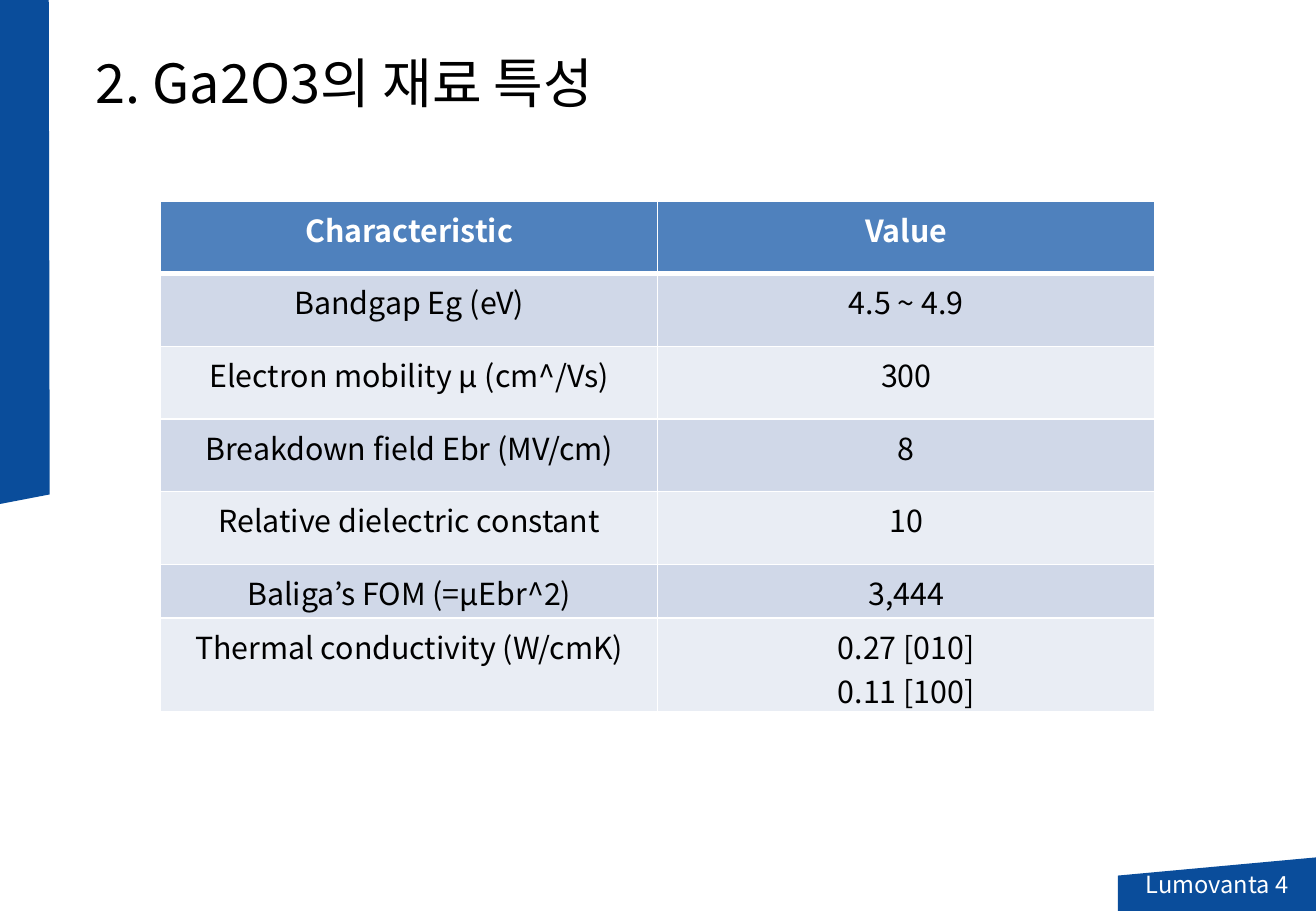
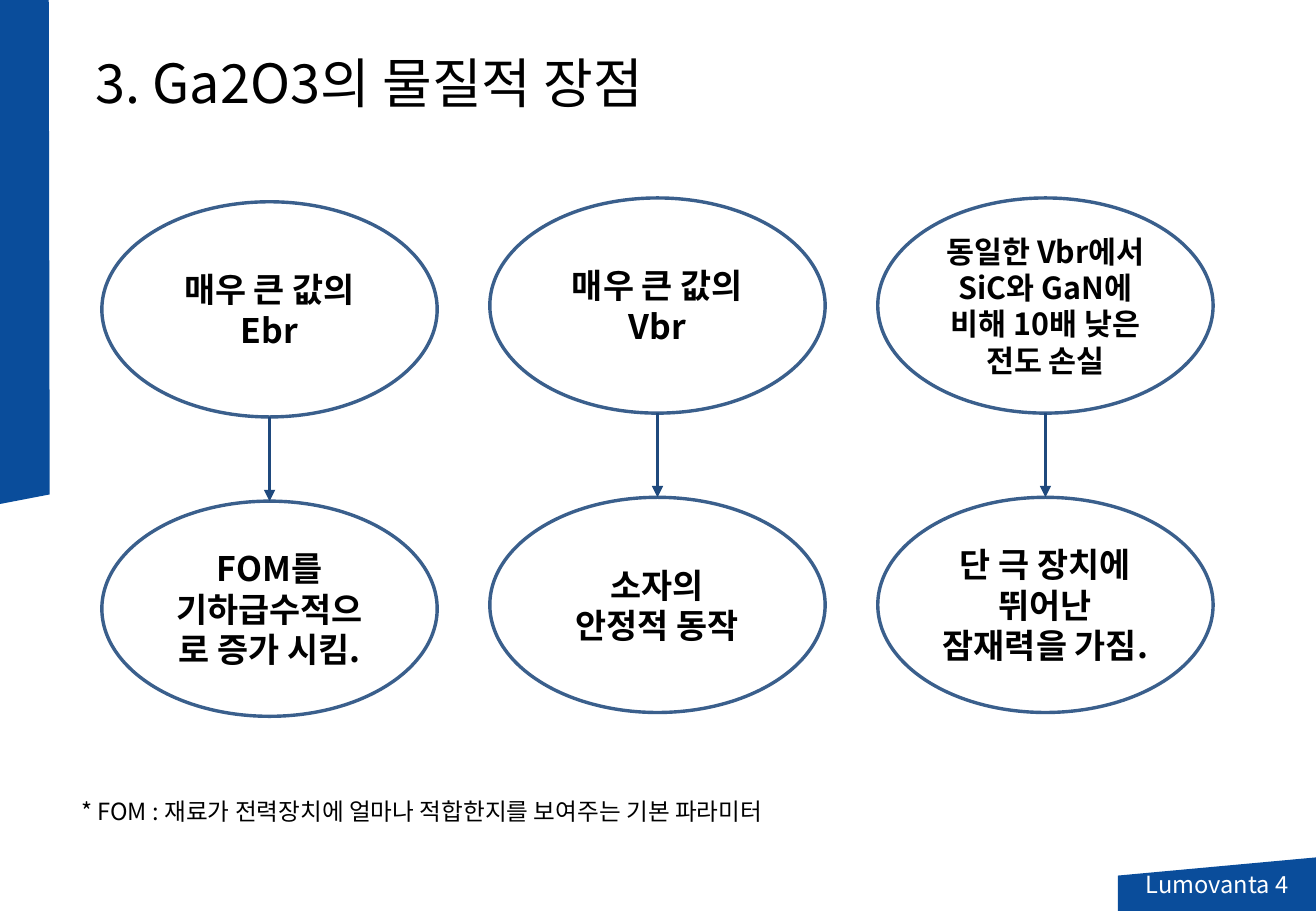
"""Build two slides on the material properties and benefits of Ga2O3."""
from lxml.etree import SubElement as Sub
from pptx import Presentation
from pptx.dml.color import RGBColor
from pptx.enum.shapes import MSO_CONNECTOR as Link, MSO_SHAPE as Shape
from pptx.enum.text import MSO_ANCHOR as Anchor, MSO_AUTO_SIZE as Fit, PP_ALIGN as Align
from pptx.oxml.ns import qn
from pptx.util import Cm, Pt

FACE = "Noto Sans CJK KR"
WHITE = RGBColor(0xFF, 0xFF, 0xFF)
BLACK = RGBColor(0x00, 0x00, 0x00)
BLUE = RGBColor(0x0A, 0x4D, 0x9B)
HEAD = RGBColor(0x4F, 0x81, 0xBD)
DARK = RGBColor(0xD0, 0xD8, 0xE8)
PALE = RGBColor(0xE9, 0xED, 0xF4)
RIM = RGBColor(0x3A, 0x5F, 0x8C)
NAVY = RGBColor(0x1F, 0x49, 0x7D)

WIDE, HIGH = 27.51, 19.05
BAND = [(1.02, 0), (0, 0), (0, 10.54), (1.04, 10.34)]
FLAG = [(WIDE, 17.93), (WIDE, HIGH), (23.37, HIGH), (23.37, 18.31)]

ROWS = [
    ("Characteristic", "Value", 1.52),
    ("Bandgap Eg (eV)", "4.5 ~ 4.9", 1.52),
    ("Electron mobility μ (cm^/Vs)", "300", 1.52),
    ("Breakdown field Ebr (MV/cm)", "8", 1.52),
    ("Relative dielectric constant", "10", 1.52),
    ("Baliga’s FOM (=μEbr^2)", "3,444", 1.12),
    ("Thermal conductivity (W/cmK)", "0.27 [010]\n0.11 [100]", 1.96),
]
PAIRS = [
    ("매우 큰 값의 Ebr", 20, "FOM를 기하급수적으로 증가 시킴.", 4.22),
    ("매우 큰 값의 Vbr", 20, "소자의\n안정적 동작", 4.14),
    ("동일한 Vbr에서 SiC와 GaN에 비해 10배 낮은 전도 손실", 18,
     "단 극 장치에 뛰어난 잠재력을 가짐.", 4.14),
]
OVAL_W, OVAL_H = 7.01, 4.5
OVAL_X, STEP_X, STEP_Y = 2.13, 8.11, 6.26


def write(frame, text, size, color=BLACK, bold=False, align=Align.CENTER):
    """Fill a text frame, one paragraph per line of text."""
    frame.text = text
    frame.word_wrap = True
    for par in frame.paragraphs:
        par.alignment = align
        font = par.font
        font.name, font.size, font.bold = FACE, Pt(size), bold
        font.color.rgb = color
        base = par._p.pPr.find(qn("a:defRPr"))
        Sub(base, qn("a:ea"), typeface=FACE)


def add_text(slide, text, size, left, top, width, height):
    """Add a left-aligned text box."""
    box = slide.shapes.add_textbox(Cm(left), Cm(top), Cm(width), Cm(height))
    write(box.text_frame, text, size, align=Align.LEFT)
    box.text_frame.auto_size = Fit.SHAPE_TO_FIT_TEXT


def add_patch(slide, points):
    """Add a blue polygon without an outline."""
    first, *rest = [(Cm(x), Cm(y)) for x, y in points]
    pen = slide.shapes.build_freeform(*first)
    pen.add_line_segments(rest, close=True)
    patch = pen.convert_to_shape()
    patch.shadow.inherit = False
    patch.fill.solid()
    patch.fill.fore_color.rgb = BLUE
    patch.line.fill.background()
    return patch


def add_page(deck, title):
    """Add a slide with its band, title and footer."""
    slide = deck.slides.add_slide(deck.slide_layouts[6])
    add_patch(slide, BAND)
    add_text(slide, title, 32, 1.75, 0.91, 13.41, 1.63)
    frame = add_patch(slide, FLAG).text_frame
    write(frame, "Lumovanta 4", 14, WHITE)
    frame.vertical_anchor = Anchor.MIDDLE
    return slide


def add_edges(cell, top, bottom):
    """Draw the white borders of a table cell."""
    props = cell._tc.get_or_add_tcPr()
    for side, width in zip("LRTB", (1, 1, top, bottom)):
        edge = Sub(props, qn(f"a:ln{side}"), w=str(Pt(width)))
        Sub(Sub(edge, qn("a:solidFill")), qn("a:srgbClr"), val=str(WHITE))


def add_grid(slide):
    """Add the table of material values."""
    total = sum(row[-1] for row in ROWS)
    table = slide.shapes.add_table(
        len(ROWS), 2, Cm(3.36), Cm(4.2), Cm(20.78), Cm(total)).table
    table.horz_banding = False
    for i, (*texts, height) in enumerate(ROWS):
        table.rows[i].height = Cm(height)
        fill = HEAD if i == 0 else DARK if i % 2 else PALE
        for j, text in enumerate(texts):
            cell = table.cell(i, j)
            write(cell.text_frame, text, 18, BLACK if i else WHITE, i == 0)
            add_edges(cell, 3 if i == 1 else 1, 1 if i else 3)
            cell.fill.solid()
            cell.fill.fore_color.rgb = fill


def add_oval(slide, text, size, left, top):
    """Add a white ellipse with bold text."""
    oval = slide.shapes.add_shape(
        Shape.OVAL, Cm(left), Cm(top), Cm(OVAL_W), Cm(OVAL_H))
    oval.shadow.inherit = False
    oval.fill.solid()
    oval.fill.fore_color.rgb = WHITE
    oval.line.color.rgb = RIM
    oval.line.width = Pt(2)
    write(oval.text_frame, text, size, bold=True)
    oval.text_frame.vertical_anchor = Anchor.MIDDLE


def add_arrow(slide, x, start, end):
    """Add a vertical arrow."""
    arrow = slide.shapes.add_connector(
        Link.STRAIGHT, Cm(x), Cm(start), Cm(x), Cm(end))
    arrow.line.color.rgb = NAVY
    arrow.line.width = Pt(2.25)
    Sub(arrow.line._get_or_add_ln(), qn("a:tailEnd"), type="triangle")
    Sub(arrow._element.spPr, qn("a:effectLst"))


def main():
    """Build and save the deck."""
    deck = Presentation()
    deck.slide_width, deck.slide_height = Cm(WIDE), Cm(HIGH)

    add_grid(add_page(deck, "2. Ga2O3의 재료 특성"))

    slide = add_page(deck, "3. Ga2O3의 물질적 장점")
    for i, (cause, size, effect, top) in enumerate(PAIRS):
        left = OVAL_X + i * STEP_X
        add_oval(slide, cause, size, left, top)
        add_oval(slide, effect, 20, left, top + STEP_Y)
        add_arrow(slide, left + OVAL_W / 2, top + OVAL_H, top + STEP_Y)
    add_text(slide, "* FOM : 재료가 전력장치에 얼마나 적합한지를 보여주는 기본 파라미터",
             14, 1.45, 16.54, 16.33, 0.86)

    deck.save("out.pptx")


if __name__ == "__main__":
    main()
